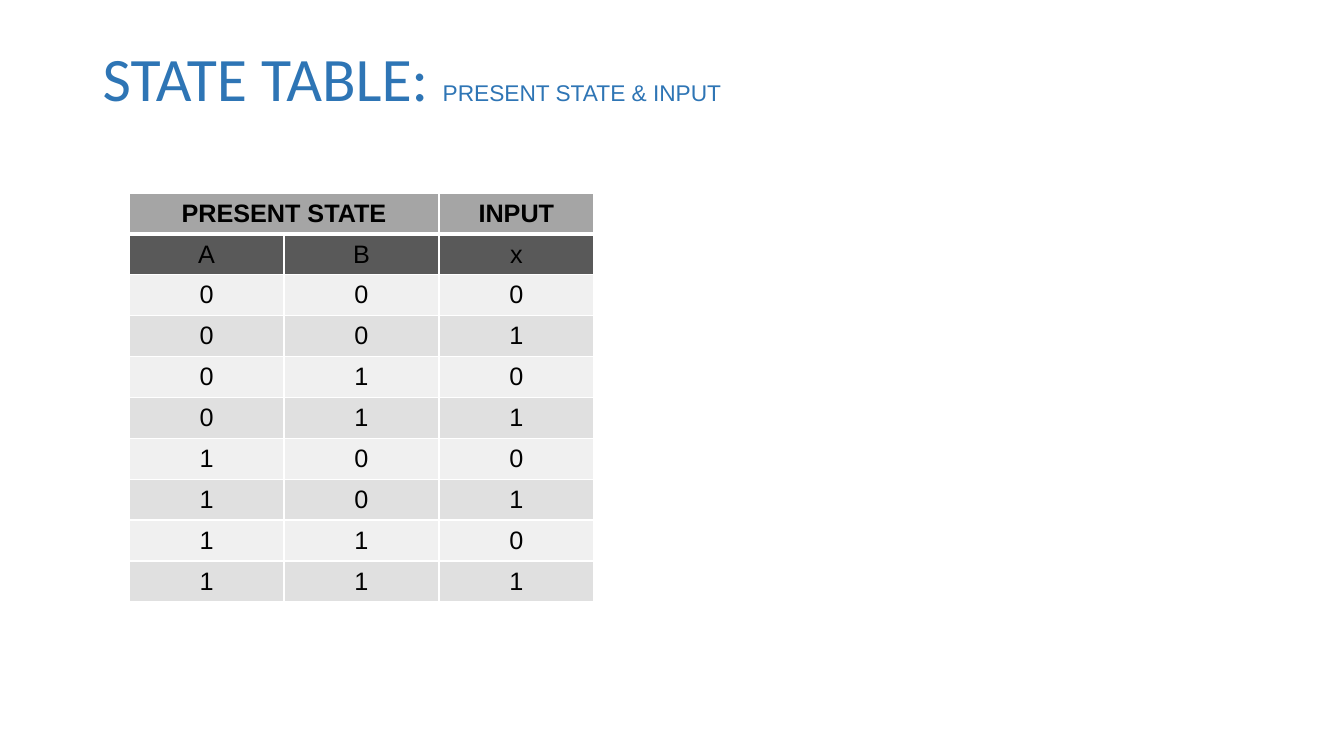
from itertools import product

from pptx import Presentation
from pptx.dml.color import RGBColor
from pptx.enum.text import MSO_ANCHOR as ANCHOR, PP_ALIGN as ALIGN
from pptx.oxml import parse_xml
from pptx.oxml.ns import nsdecls
from pptx.util import Inches, Pt

BLUE = RGBColor(0x2E, 0x75, 0xB5)
BLACK = RGBColor(0x00, 0x00, 0x00)
WHITE = RGBColor(0xFF, 0xFF, 0xFF)
HEADER_GRAY = RGBColor(0xA5, 0xA5, 0xA5)
NAMES_GRAY = RGBColor(0x59, 0x59, 0x59)
BANDS = (RGBColor(0xF0, 0xF0, 0xF0), RGBColor(0xE0, 0xE0, 0xE0))

HEADER_HEIGHT = 0.39


def add_run(p, text, size=18, font="Arial", color=BLACK, bold=False):
    """Append a formatted run to a paragraph."""
    r = p.add_run()
    r.text = text
    r.font.size = Pt(size)
    r.font.name = font
    r.font.color.rgb = color
    r.font.bold = bold


def set_borders(cell, bottom=1):
    """Give a cell thin borders with a chosen bottom width in points."""
    tcPr = cell._tc.get_or_add_tcPr()
    widths = {"lnL": 1, "lnR": 1, "lnT": 1, "lnB": bottom}
    for i, (side, width) in enumerate(widths.items()):
        tcPr.insert(i, parse_xml(
            f'<a:{side} {nsdecls("a")} w="{Pt(width)}"><a:solidFill>'
            f'<a:srgbClr val="{WHITE}"/></a:solidFill></a:{side}>'))


def fill_cell(cell, text, fill, bold=False, bottom=1):
    """Write centred text in a filled and bordered cell."""
    cell.fill.solid()
    cell.fill.fore_color.rgb = fill
    cell.vertical_anchor = ANCHOR.MIDDLE
    set_borders(cell, bottom)
    if text:
        p = cell.text_frame.paragraphs[0]
        p.alignment = ALIGN.CENTER
        add_run(p, text, bold=bold)


def add_title(slide, left, top, width, height):
    """Place the heading with its smaller subtitle on one line."""
    tf = slide.shapes.add_textbox(*map(Inches, (left, top, width, height))).text_frame
    tf.word_wrap = True
    tf.vertical_anchor = ANCHOR.TOP
    tf.margin_top = Inches(0.08)
    p = tf.paragraphs[0]
    p.line_spacing = 0.9
    add_run(p, "STATE TABLE: ", size=44.1, font="Calibri", color=BLUE)
    add_run(p, "PRESENT STATE & INPUT", size=16.2, color=BLUE)


def add_state_table(slide, left, top, width, height):
    """Place the table of all present state and input combinations."""
    rows = [("PRESENT STATE", "", "INPUT"), ("A", "B", "x"), *product("01", repeat=3)]
    fills = [HEADER_GRAY, NAMES_GRAY, *BANDS * 4]
    box = map(Inches, (left, top, width, height))
    table = slide.shapes.add_table(len(rows), 3, *box).table
    body_height = (height - HEADER_HEIGHT) / (len(rows) - 1)
    for i, (values, fill) in enumerate(zip(rows, fills)):
        header = i == 0
        table.rows[i].height = Inches(HEADER_HEIGHT if header else body_height)
        for j, value in enumerate(values):
            fill_cell(table.cell(i, j), value, fill, bold=header, bottom=3 if header else 1)
    table.cell(0, 0).merge(table.cell(0, 1))


def main():
    """Build the state table slide and save it."""
    prs = Presentation()
    prs.slide_width, prs.slide_height = Inches(13.33), Inches(7.5)
    slide = prs.slides.add_slide(prs.slide_layouts[6])
    add_title(slide, 0.92, 0.4, 11.5, 1.03)
    add_state_table(slide, 1.28, 1.92, 4.61, 4.04)
    prs.save("out.pptx")


if __name__ == "__main__":
    main()
